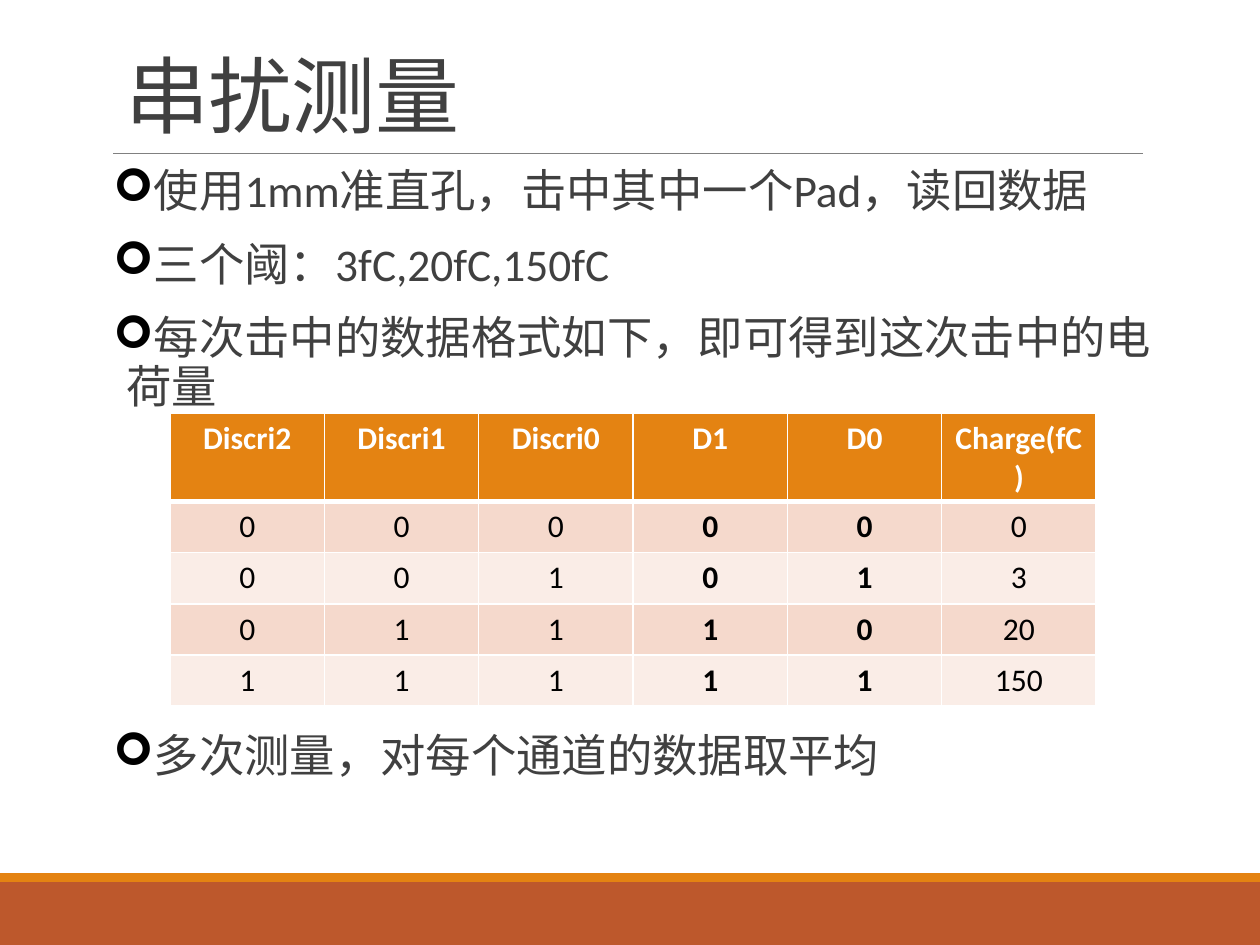
from lxml import etree
from pptx import Presentation
from pptx import util as u
from pptx.dml.color import RGBColor
from pptx.enum import shapes, text
from pptx.oxml import ns

FONT = "Calibri"
DARK, WHITE, BLACK = "404040", "FFFFFF", "000000"
ORANGE, RUST = "E48312", "BD582C"
BANDS = ("F5D9CC", "FAEDE7")
BOLD_COLUMNS = (3, 4)
INTRO = (
    "使用1mm准直孔，击中其中一个Pad，读回数据",
    "三个阈：3fC,20fC,150fC",
    "每次击中的数据格式如下，即可得到这次击中的电荷量",
)
CLOSING = ("多次测量，对每个通道的数据取平均",)
CHARGE_CODES = (
    ("Discri2", "Discri1", "Discri0", "D1", "D0", "Charge(fC)"),
    ("0", "0", "0", "0", "0", "0"),
    ("0", "0", "1", "0", "1", "3"),
    ("0", "1", "1", "1", "0", "20"),
    ("1", "1", "1", "1", "1", "150"),
)


def rgb(color):
    return RGBColor.from_string(color)


def set_font(paragraph, size, color, bold=False):
    font = paragraph.font
    font.name, font.size, font.bold = FONT, u.Pt(size), bold
    font.color.rgb = rgb(color)


def add_child(parent, tag, **attributes):
    return etree.SubElement(parent, ns.qn(tag), attributes)


def add_band(slide, box, color):
    band = slide.shapes.add_shape(
        shapes.MSO_SHAPE.RECTANGLE, *map(u.Inches, box))
    band.shadow.inherit = False
    band.fill.solid()
    band.fill.fore_color.rgb = rgb(color)
    band.line.fill.background()


def add_footer(slide, left, top, width, height):
    stripe = 0.07
    add_band(slide, (left, top + stripe, width, height - stripe), RUST)
    add_band(slide, (left, top, width, stripe), ORANGE)


def add_title(slide, left, top, width, height):
    box = slide.shapes.add_textbox(*map(u.Inches, (left, top, width, height)))
    frame = box.text_frame
    frame.word_wrap = True
    frame.vertical_anchor = text.MSO_ANCHOR.BOTTOM
    paragraph = frame.paragraphs[0]
    paragraph.line_spacing = 0.85
    run = paragraph.add_run()
    run.text = "串扰测量"
    run._r.get_or_add_rPr().set("spc", "-50")
    set_font(paragraph, 48, DARK)

    rule_y = u.Inches(top + height + 0.02)
    rule = slide.shapes.add_connector(
        shapes.MSO_CONNECTOR.STRAIGHT,
        u.Inches(left), rule_y, u.Inches(left + 8.17), rule_y)
    rule.line.color.rgb = rgb("808080")
    rule.line.width = u.Pt(0.5)
    add_child(rule._element.spPr, "a:effectLst")


def add_arrow_bullet(paragraph):
    properties = paragraph._p.get_or_add_pPr()
    indent = u.Inches(0.1)
    properties.set("marL", str(indent))
    properties.set("indent", str(-indent))
    bullet_color = add_child(properties, "a:buClr")
    add_child(bullet_color, "a:srgbClr", val=BLACK)
    add_child(properties, "a:buFont", typeface="Wingdings")
    add_child(properties, "a:buChar", char="➢")


def add_bullets(slide, lines, left, top, width, height):
    box = slide.shapes.add_textbox(*map(u.Inches, (left, top, width, height)))
    frame = box.text_frame
    frame.word_wrap = True
    frame.margin_left = frame.margin_right = 0
    for index, line in enumerate(lines):
        paragraph = frame.add_paragraph() if index else frame.paragraphs[0]
        paragraph.text = line
        paragraph.line_spacing = 0.9
        paragraph.space_before, paragraph.space_after = u.Pt(12), u.Pt(2)
        add_arrow_bullet(paragraph)
        set_font(paragraph, 25.9, DARK)


def add_borders(cell, bottom_width):
    """Draw white borders; call before the fill, which must follow them."""
    properties = cell._tc.get_or_add_tcPr()
    for side, width in (("L", 1), ("R", 1), ("T", 1), ("B", bottom_width)):
        line = add_child(properties, f"a:ln{side}", w=str(u.Pt(width)))
        add_child(add_child(line, "a:solidFill"), "a:srgbClr", val=WHITE)


def add_charge_table(slide, left, top, width, height):
    frame = slide.shapes.add_table(
        len(CHARGE_CODES), len(CHARGE_CODES[0]),
        *map(u.Inches, (left, top, width, height)))
    for row, values in enumerate(CHARGE_CODES):
        header = row == 0
        for column, value in enumerate(values):
            cell = frame.table.cell(row, column)
            cell.text = value
            add_borders(cell, 3 if header else 1)
            cell.fill.solid()
            cell.fill.fore_color.rgb = rgb(
                ORANGE if header else BANDS[(row - 1) % 2])
            paragraph = cell.text_frame.paragraphs[0]
            paragraph.alignment = text.PP_ALIGN.CENTER
            set_font(paragraph, 18, WHITE if header else BLACK,
                     header or column in BOLD_COLUMNS)


def main():
    presentation = Presentation()
    presentation.slide_width = u.Inches(10)
    presentation.slide_height = u.Inches(7.5)
    slide = presentation.slides.add_slide(presentation.slide_layouts[6])
    add_footer(slide, 0, 6.93, 10, 0.57)
    add_title(slide, 0.9, 0.31, 8.25, 0.89)
    add_bullets(slide, INTRO, 0.9, 1.29, 8.25, 1.99)
    add_charge_table(slide, 1.35, 3.28, 7.35, 2.03)
    add_bullets(slide, CLOSING, 0.9, 5.77, 8.25, 0.65)
    presentation.save("out.pptx")


if __name__ == "__main__":
    main()
